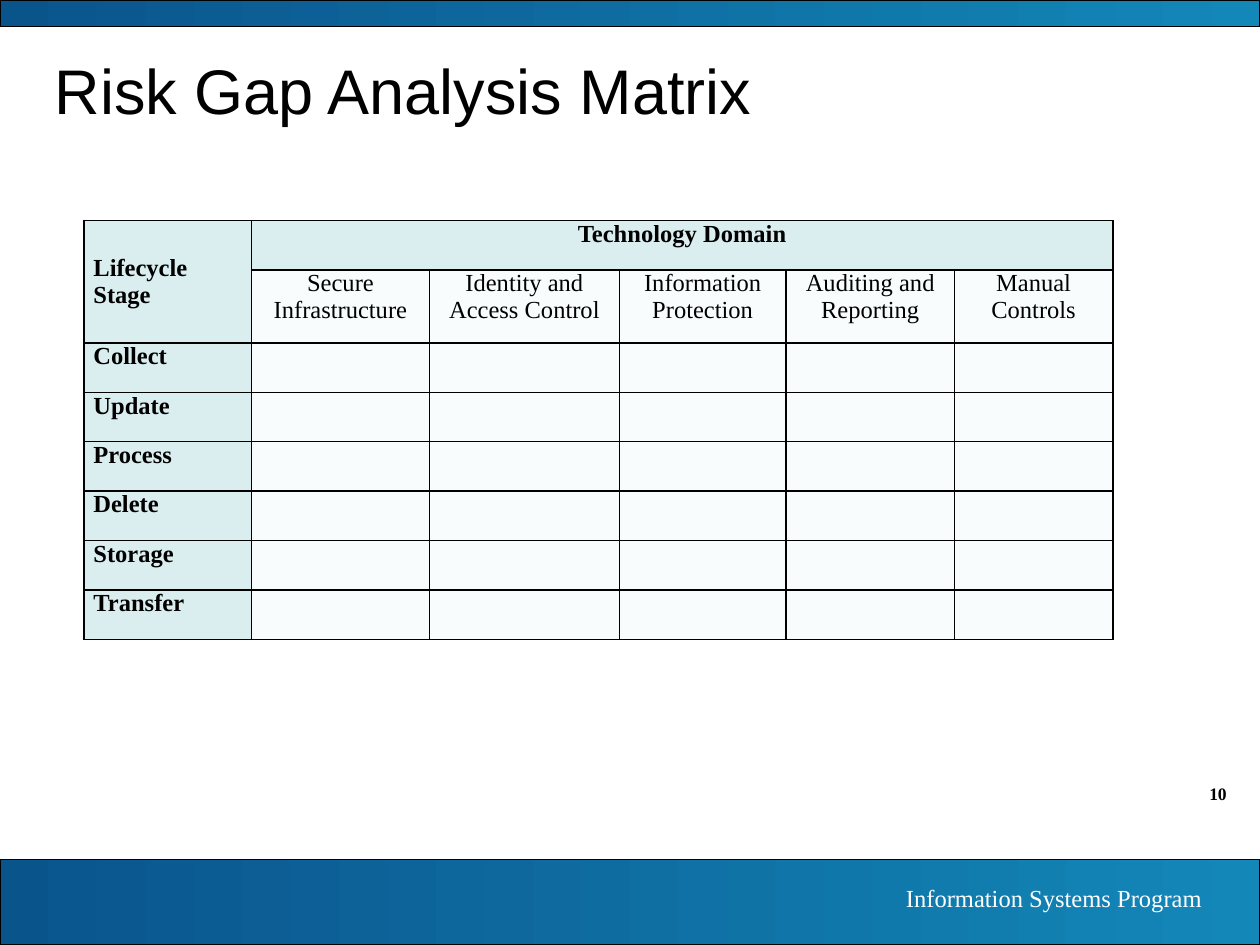
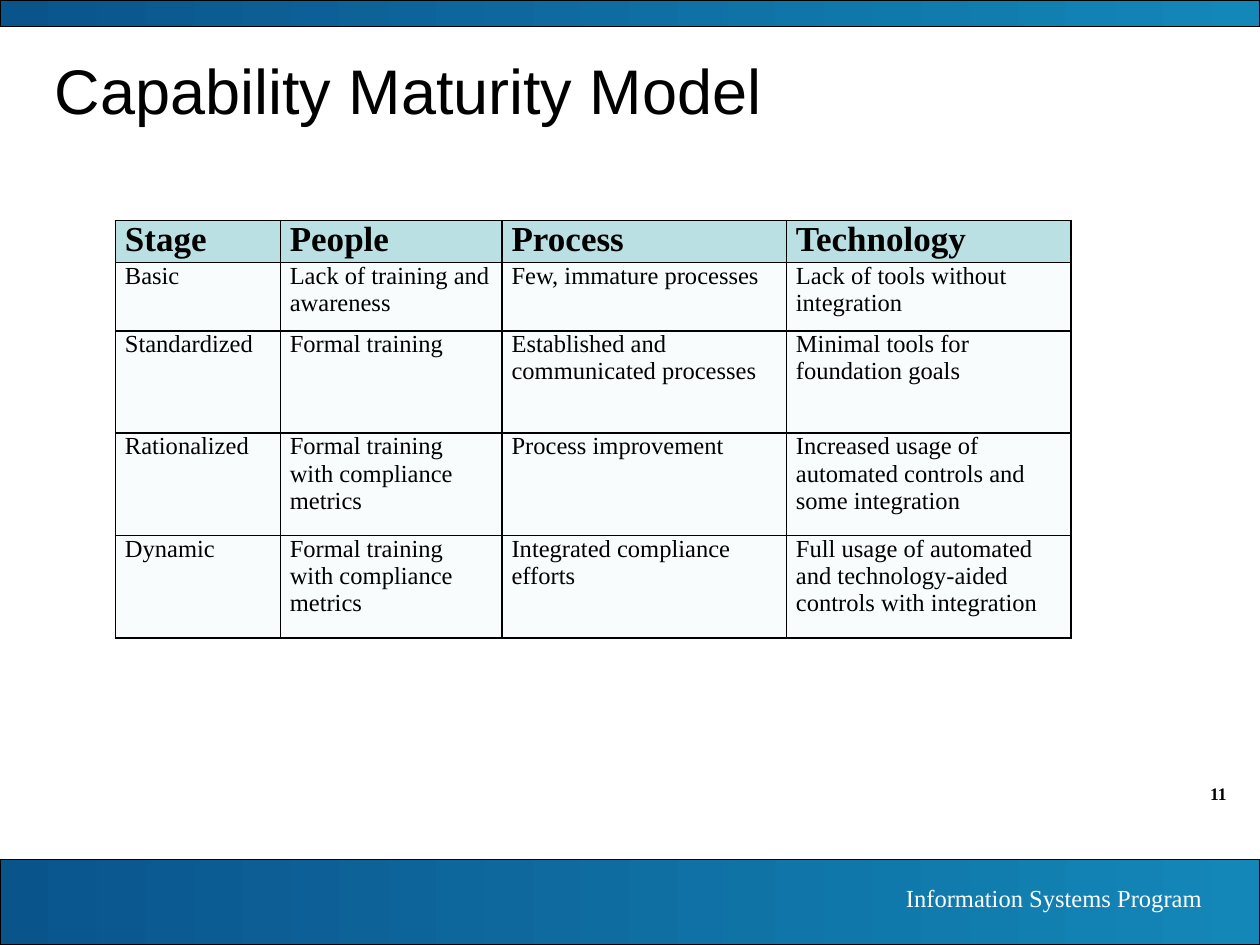
"""Build two slides on risk gaps and capability maturity."""
import pptx
import pptx.dml.color
import pptx.enum.shapes
import pptx.enum.text
import pptx.oxml
import pptx.oxml.ns
import pptx.util

Pt = pptx.util.Pt
RGBColor = pptx.dml.color.RGBColor
Align = pptx.enum.text.PP_ALIGN
Anchor = pptx.enum.text.MSO_ANCHOR

BLACK = RGBColor(0x00, 0x00, 0x00)
WHITE = RGBColor(0xFF, 0xFF, 0xFF)
DEEP_BLUE = RGBColor(0x0A, 0x54, 0x8C)
BRIGHT_BLUE = RGBColor(0x13, 0x87, 0xB8)
TEAL = RGBColor(0xBB, 0xE0, 0xE3)
PALE_TEAL = RGBColor(0xDA, 0xED, 0xEF)
NEAR_WHITE = RGBColor(0xF8, 0xFC, 0xFC)

SLIDE_WIDTH, SLIDE_HEIGHT = 720, 540
FOOTER_HEIGHT = 49
TITLE_ONLY = 5

DOMAINS = ["Secure Infrastructure", "Identity and Access Control",
           "Information Protection", "Auditing and Reporting", "Manual Controls"]
LIFECYCLE = ["Collect", "Update", "Process", "Delete", "Storage", "Transfer"]
MATURITY = [
    ["Stage", "People", "Process", "Technology"],
    ["Basic", "Lack of training and awareness", "Few, immature processes",
     "Lack of tools without integration"],
    ["Standardized", "Formal training", "Established and communicated processes",
     "Minimal tools for foundation goals"],
    ["Rationalized", "Formal training with compliance metrics", "Process improvement",
     "Increased usage of automated controls and some integration"],
    ["Dynamic", "Formal training with compliance metrics", "Integrated compliance efforts",
     "Full usage of automated and technology-aided controls with integration"],
]


def write(frame, text, size=14, face="Times New Roman", color=BLACK, bold=False,
          align=Align.LEFT, after=0):
    frame.word_wrap = True
    paragraph = frame.paragraphs[0]
    paragraph.alignment = align
    paragraph.space_after = Pt(after)
    run = paragraph.add_run()
    run.text = text
    run.font.size = Pt(size)
    run.font.name = face
    run.font.bold = bold
    run.font.color.rgb = color


class Deck:
    def __init__(self):
        self.presentation = pptx.Presentation()
        self.presentation.slide_width = Pt(SLIDE_WIDTH)
        self.presentation.slide_height = Pt(SLIDE_HEIGHT)
        self.slide = None

    def start(self, heading, number):
        layout = self.presentation.slide_layouts[TITLE_ONLY]
        self.slide = self.presentation.slides.add_slide(layout)
        self.label(str(number), 648, 444, 60, 19.5, size=10, bold=True)
        self.band(SLIDE_HEIGHT - FOOTER_HEIGHT, FOOTER_HEIGHT)
        self.band(0, 15)
        self.label("Information Systems Program", 399.5, 501, 294.5, 24.5, color=WHITE)
        self.title(heading)

    def title(self, heading):
        title = self.slide.shapes.title
        title.left, title.top, title.width, title.height = Pt(24), Pt(24), Pt(684), Pt(54)
        title.text_frame.vertical_anchor = Anchor.MIDDLE
        write(title.text_frame, heading, size=36, face="Arial")

    def band(self, top, height):
        band = self.slide.shapes.add_shape(
            pptx.enum.shapes.MSO_SHAPE.RECTANGLE, 0, Pt(top), Pt(SLIDE_WIDTH), Pt(height))
        band.shadow.inherit = False
        band.fill.gradient()
        band.fill.gradient_angle = 0
        for stop, color in zip(band.fill.gradient_stops, (DEEP_BLUE, BRIGHT_BLUE)):
            stop.color.rgb = color
        band.line.color.rgb = BLACK
        band.line.width = Pt(0.75)

    def label(self, text, left, top, width, height, **style):
        box = self.slide.shapes.add_textbox(Pt(left), Pt(top), Pt(width), Pt(height))
        write(box.text_frame, text, align=Align.RIGHT, **style)

    def table(self, left, top, widths, heights):
        table = self.slide.shapes.add_table(
            len(heights), len(widths), Pt(left), Pt(top),
            Pt(sum(widths)), Pt(sum(heights))).table
        table.first_row = table.horz_banding = False
        for column, width in zip(table.columns, widths):
            column.width = Pt(width)
        for row, height in zip(table.rows, heights):
            row.height = Pt(height)
        for cell in table.iter_cells():
            self.dress(cell)
        return table

    def dress(self, cell):
        cell.margin_left = cell.margin_right = Pt(5.4)
        cell.margin_top = cell.margin_bottom = 0
        self.shade(cell, NEAR_WHITE)
        properties = cell._tc.get_or_add_tcPr()
        for position, side in enumerate("LRTB"):
            properties.insert(position, pptx.oxml.parse_xml(
                f'<a:ln{side} {pptx.oxml.ns.nsdecls("a")} w="{Pt(1)}"><a:solidFill>'
                f'<a:srgbClr val="{BLACK}"/></a:solidFill></a:ln{side}>'))

    def shade(self, cell, color):
        cell.fill.solid()
        cell.fill.fore_color.rgb = color

    def entry(self, cell, text, fill=NEAR_WHITE, after=6, **style):
        self.shade(cell, fill)
        write(cell.text_frame, text, after=after, **style)


def risk_gap_matrix(deck):
    deck.start("Risk Gap Analysis Matrix", 10)
    matrix = deck.table(48, 126, [95.75, 101.75, 108.5, 95.25, 96.25, 90.5],
                        [28.25, 41.75] + [28.25] * len(LIFECYCLE))
    corner, domain_head = matrix.cell(0, 0), matrix.cell(0, 1)
    corner.merge(matrix.cell(1, 0))
    domain_head.merge(matrix.cell(0, len(DOMAINS)))
    corner.vertical_anchor = Anchor.MIDDLE
    deck.entry(corner, "Lifecycle Stage", PALE_TEAL, bold=True)
    deck.entry(domain_head, "Technology Domain", PALE_TEAL, bold=True, align=Align.CENTER)
    for column, domain in enumerate(DOMAINS, 1):
        deck.entry(matrix.cell(1, column), domain, align=Align.CENTER)
    for row, stage in enumerate(LIFECYCLE, 2):
        deck.entry(matrix.cell(row, 0), stage, PALE_TEAL, bold=True)


def maturity_model(deck):
    deck.start("Capability Maturity Model", 11)
    model = deck.table(66, 126, [94.25, 126.75, 162.5, 162.5], [23.75, 39] + [58.5] * 3)
    heading = dict(fill=TEAL, size=20, bold=True, after=0)
    for row, texts in enumerate(MATURITY):
        for column, text in enumerate(texts):
            deck.entry(model.cell(row, column), text, **(heading if row == 0 else {}))


def main():
    deck = Deck()
    risk_gap_matrix(deck)
    maturity_model(deck)
    deck.presentation.save("out.pptx")


if __name__ == "__main__":
    main()
